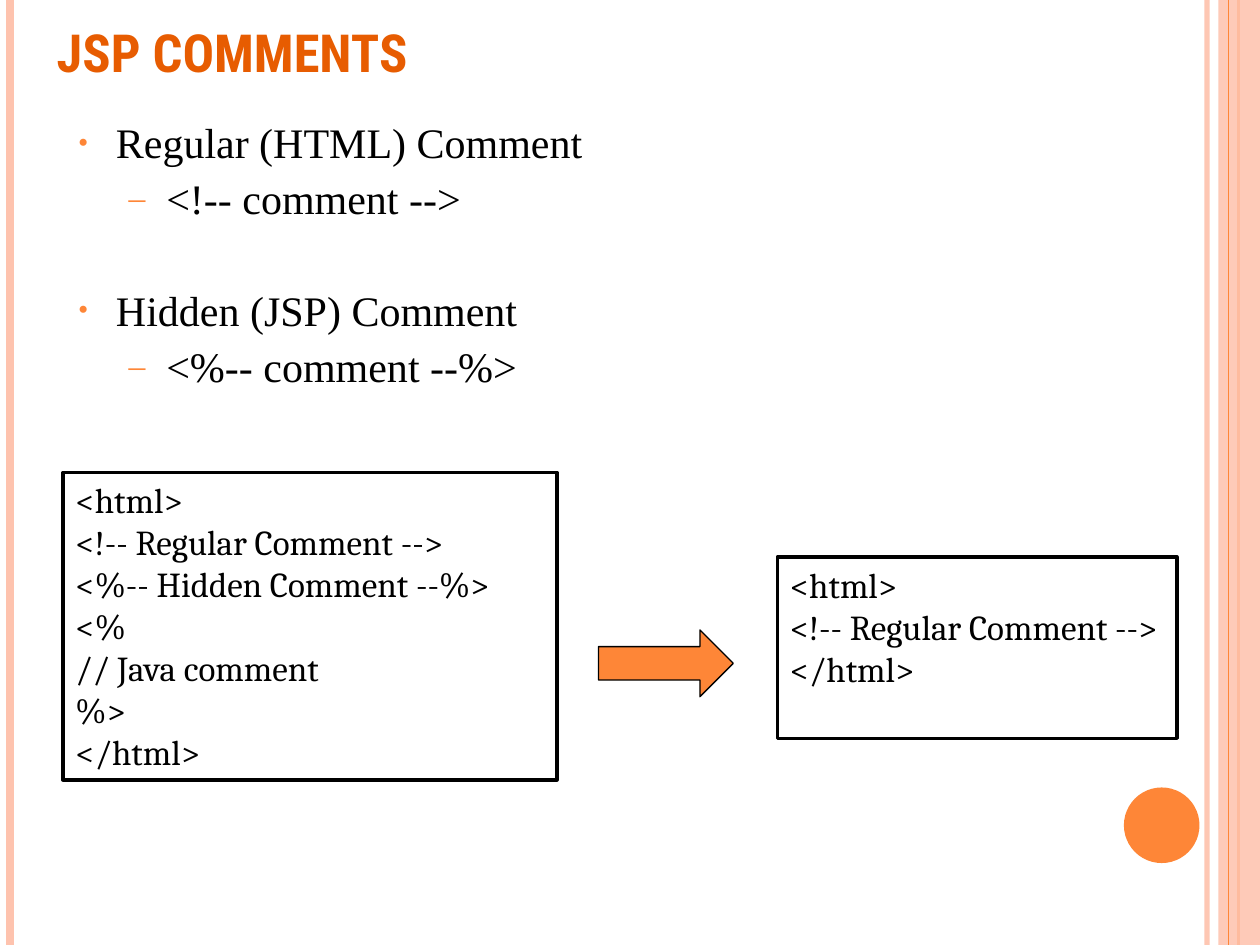
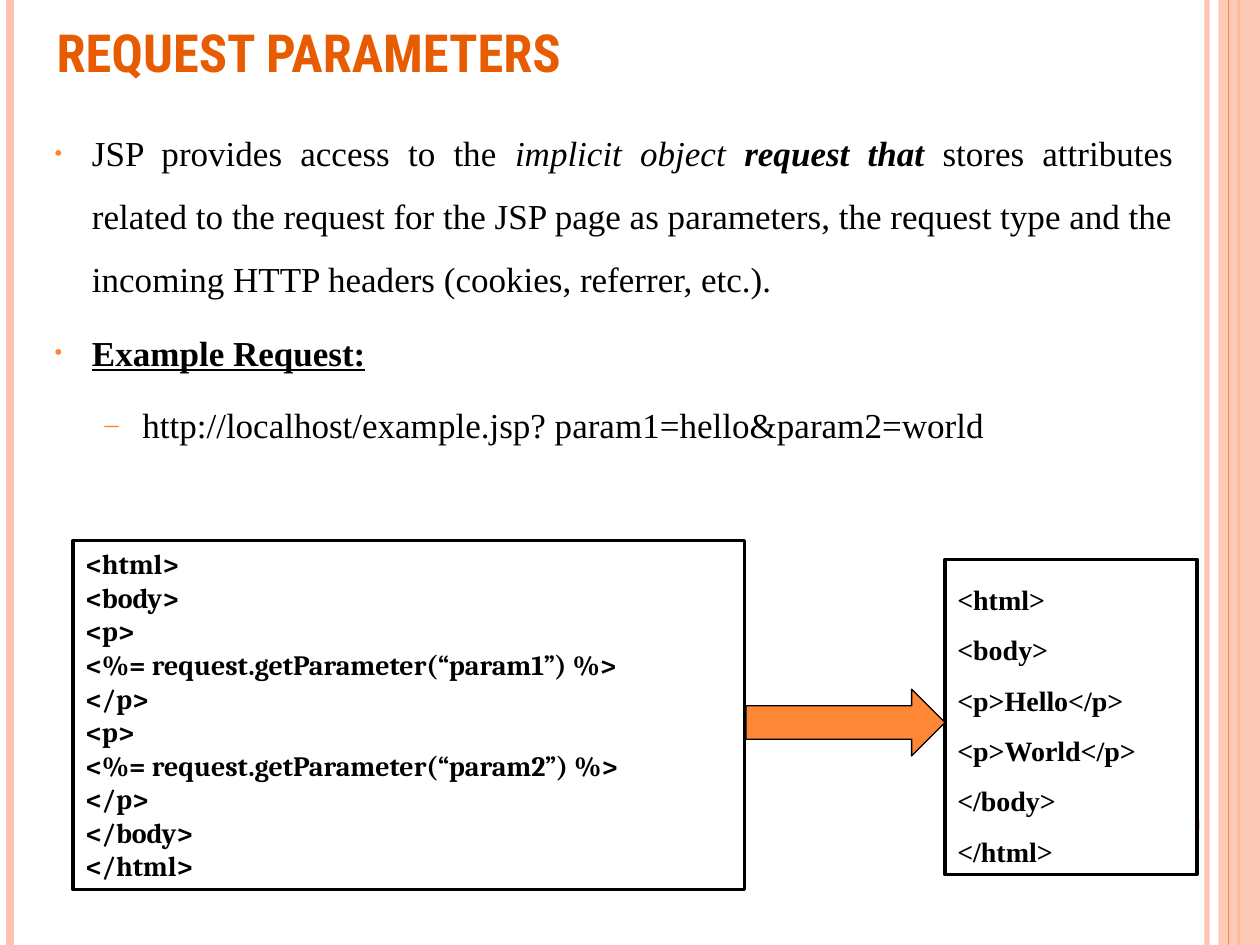
from dataclasses import dataclass

from lxml import etree
from pptx import Presentation
from pptx.dml.color import RGBColor
from pptx.enum.shapes import MSO_CONNECTOR, MSO_SHAPE
from pptx.enum.text import MSO_ANCHOR, MSO_AUTO_SIZE, PP_ALIGN
from pptx.oxml.ns import qn
from pptx.util import Inches, Pt

STRAIGHT = MSO_CONNECTOR.STRAIGHT
RECTANGLE = MSO_SHAPE.RECTANGLE
OVAL = MSO_SHAPE.OVAL
RIGHT_ARROW = MSO_SHAPE.RIGHT_ARROW
TOP, BOTTOM = MSO_ANCHOR.TOP, MSO_ANCHOR.BOTTOM
NO_AUTOFIT = MSO_AUTO_SIZE.NONE
LEFT, JUSTIFY = PP_ALIGN.LEFT, PP_ALIGN.JUSTIFY


@dataclass(frozen=True)
class Theme:
    orange: str = "FE8637"
    pale: str = "FEC3AE"
    title_color: str = "E75C01"
    ink: str = "000000"
    paper: str = "FFFFFF"
    title_font: str = "Roboto Condensed"
    body_font: str = "Times New Roman"
    code_font: str = "Cambria"
    title_size: int = 30
    large_size: int = 24
    medium_size: int = 20
    small_size: int = 16
    box_line: float = 2
    arrow_line: float = 0.75


THEME = Theme()
WIDTH, HEIGHT = 10, 7.5
# Level: bullet character, bullet size in percent, left margin in inches
BULLETS = {0: ("•", 70, 0.3), 1: ("–", 80, 0.7)}
BULLET_HANG = 0.3


def rgb(color):
    return RGBColor.from_string(color)


def set_opacity(fill_format, percent):
    color = fill_format._xPr.find(qn("a:solidFill"))[0]
    etree.SubElement(color, qn("a:alpha")).set("val", str(percent * 1000))


def add_rule(slide, x, color, width, opacity=100):
    """Draw a vertical line over the full height of the slide."""
    rule = slide.shapes.add_connector(
        STRAIGHT, Inches(x), 0, Inches(x), Inches(HEIGHT))
    rule.line.color.rgb = rgb(color)
    rule.line.width = Pt(width)
    if opacity < 100:
        set_opacity(rule.line.fill, opacity)
    etree.SubElement(rule._element.spPr, qn("a:effectLst"))


def add_filled_shape(slide, kind, box, fill, line_width=0, opacity=100):
    shape = slide.shapes.add_shape(kind, *map(Inches, box))
    shape.shadow.inherit = False
    shape.fill.solid()
    shape.fill.fore_color.rgb = rgb(fill)
    if opacity < 100:
        set_opacity(shape.fill, opacity)
    if line_width:
        shape.line.color.rgb = rgb(THEME.ink)
        shape.line.width = Pt(line_width)
    else:
        shape.line.fill.background()
    return shape


def add_bullet(paragraph, level):
    character, percent, margin = BULLETS[level]
    paragraph.level = level
    properties = paragraph._p.get_or_add_pPr()
    properties.set("marL", str(Inches(margin)))
    properties.set("indent", str(Inches(-BULLET_HANG)))
    color = etree.SubElement(properties, qn("a:buClr"))
    etree.SubElement(color, qn("a:srgbClr")).set("val", THEME.orange)
    etree.SubElement(properties, qn("a:buSzPct")).set("val", str(percent * 1000))
    etree.SubElement(properties, qn("a:buFont")).set("typeface", THEME.body_font)
    etree.SubElement(properties, qn("a:buChar")).set("char", character)


def add_text(frame, text, *, size, font, color=THEME.ink, bold=False,
             align=LEFT, spacing=1.0, before=0, level=None):
    """Add a paragraph; text is a string or a list of (string, styles) runs."""
    first = frame.paragraphs[0]
    paragraph = frame.add_paragraph() if first.runs else first
    paragraph.alignment = align
    paragraph.line_spacing = spacing
    paragraph.space_before = Pt(before)
    if level is not None:
        add_bullet(paragraph, level)
    for part, styles in [(text, {})] if isinstance(text, str) else text:
        run = paragraph.add_run()
        run.text = part
        run.font.size = Pt(size)
        run.font.name = font
        run.font.color.rgb = rgb(color)
        run.font.bold = styles.get("bold", bold)
        run.font.italic = styles.get("italic", False)
        run.font.underline = styles.get("underline", False)


def prepare_frame(shape, anchor=TOP):
    frame = shape.text_frame
    frame.word_wrap = True
    frame.auto_size = NO_AUTOFIT
    frame.vertical_anchor = anchor
    return frame


def place_placeholder(shape, box, anchor=TOP):
    shape.left, shape.top, shape.width, shape.height = map(Inches, box)
    return prepare_frame(shape, anchor)


def add_decoration(slide):
    add_rule(slide, 9.58, THEME.pale, 3, opacity=93)
    add_rule(slide, 0.08, THEME.pale, 4.5)
    add_rule(slide, 9.83, THEME.orange, 1.5)
    add_filled_shape(slide, RECTANGLE, (9.67, 0, 0.33, HEIGHT), THEME.pale,
                     opacity=87)
    add_rule(slide, 9.75, THEME.orange, 0.75)
    add_filled_shape(slide, OVAL, (8.92, 6.25, 0.6, 0.6), THEME.orange)


def add_titled_slide(presentation, title):
    slide = presentation.slides.add_slide(presentation.slide_layouts[1])
    add_decoration(slide)
    frame = place_placeholder(slide.shapes.title, (0.35, 0, 8.9, 0.71), BOTTOM)
    add_text(frame, title, size=THEME.title_size, font=THEME.title_font,
             color=THEME.title_color, bold=True)
    return slide


def add_bullet_list(slide, box, items, **text_format):
    """Fill the body placeholder with (level, space before, text) items."""
    frame = place_placeholder(slide.placeholders[1], box)
    for level, before, text in items:
        add_text(frame, text, level=level, before=before,
                 font=THEME.body_font, **text_format)


def add_code_box(slide, box, code, **text_format):
    shape = add_filled_shape(slide, RECTANGLE, box, THEME.paper, THEME.box_line)
    frame = prepare_frame(shape)
    for line in code.splitlines():
        add_text(frame, line, **text_format)


def add_arrow(slide, box):
    add_filled_shape(slide, RIGHT_ARROW, box, THEME.orange, THEME.arrow_line)


COMMENTS_SOURCE = """<html>
<!-- Regular Comment -->
<%-- Hidden Comment --%>
<%
// Java comment
%>
</html>"""

COMMENTS_OUTPUT = """<html>
<!-- Regular Comment -->
</html>"""

PARAMETERS_SOURCE = """<html>
<body>
<p>
<%= request.getParameter(“param1”) %>
</p>
<p>
<%= request.getParameter(“param2”) %>
</p>
</body>
</html>"""

PARAMETERS_OUTPUT = """<html>
<body>
<p>Hello</p>
<p>World</p>
</body>
</html>"""


def build_comments_slide(presentation):
    slide = add_titled_slide(presentation, "JSP COMMENTS")
    add_bullet_list(slide, (0.52, 0.92, 8.98, 2.42), [
        (0, 0, "Regular (HTML) Comment"),
        (1, 6, "<!-- comment -->"),
        (0, 38, "Hidden (JSP) Comment"),
        (1, 6, "<%-- comment --%>"),
    ], size=THEME.large_size, spacing=0.9)
    code_format = {"size": THEME.medium_size, "font": THEME.code_font}
    add_code_box(slide, (0.5, 3.75, 3.92, 2.44), COMMENTS_SOURCE, **code_format)
    add_code_box(slide, (6.17, 4.42, 3.17, 1.44), COMMENTS_OUTPUT, **code_format)
    add_arrow(slide, (4.75, 5, 1.07, 0.53))


def build_parameters_slide(presentation):
    slide = add_titled_slide(presentation, "REQUEST PARAMETERS")
    add_bullet_list(slide, (0.33, 0.83, 9.08, 2.83), [
        (0, 0, [
            ("JSP provides access to the ", {}),
            ("implicit object ", {"italic": True}),
            ("request that ", {"italic": True, "bold": True}),
            ("stores attributes related to the request for the JSP page as "
             "parameters, the request type and the incoming HTTP headers "
             "(cookies, referrer, etc.).", {}),
        ]),
        (0, 6, [("Example Request:", {"bold": True, "underline": True})]),
        (1, 5, "http://localhost/example.jsp? param1=hello&param2=world"),
    ], size=THEME.medium_size, spacing=1.5, align=JUSTIFY)
    code_format = {"size": THEME.small_size, "bold": True}
    add_code_box(slide, (0.58, 4.29, 5.33, 2.77), PARAMETERS_SOURCE,
                 font=THEME.code_font, **code_format)
    add_code_box(slide, (7.5, 4.44, 2, 2.5), PARAMETERS_OUTPUT,
                 font=THEME.body_font, spacing=1.5, **code_format)
    add_arrow(slide, (5.92, 5.47, 1.58, 0.53))


def main():
    presentation = Presentation()
    presentation.slide_width = Inches(WIDTH)
    presentation.slide_height = Inches(HEIGHT)
    build_comments_slide(presentation)
    build_parameters_slide(presentation)
    presentation.save("out.pptx")


if __name__ == "__main__":
    main()
